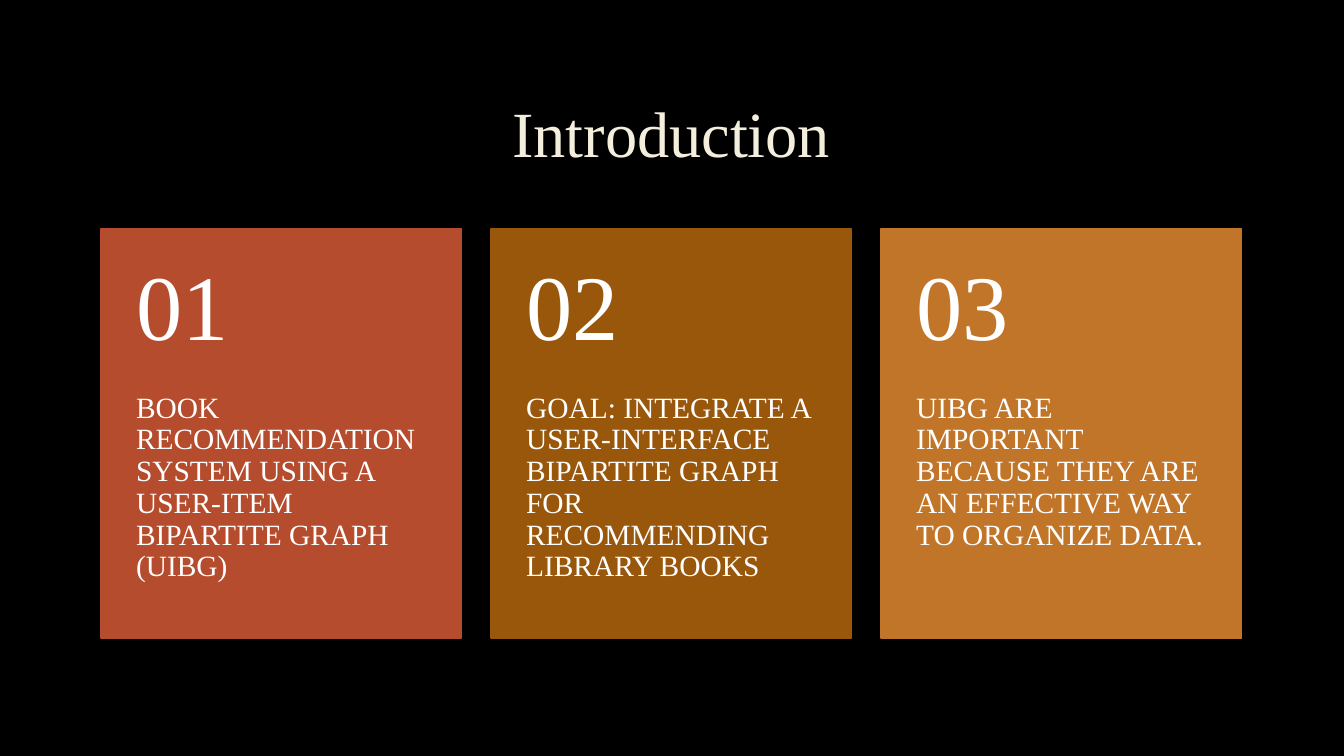
"""Build the Introduction slide: a title above three numbered cards."""
from dataclasses import dataclass

from pptx import Presentation
from pptx import util as u
from pptx.dml.color import RGBColor
from pptx.enum import shapes, text


@dataclass(frozen=True)
class Theme:
    font: str = "Times New Roman"
    background: str = "000000"
    title: str = "F4EEDC"
    card_text: str = "FFFFFF"
    title_size: float = 46
    number_size: float = 66
    body_size: float = 21


@dataclass(frozen=True)
class Card:
    body: str
    fill: str


THEME = Theme()
CARDS = (
    Card("BOOK RECOMMENDATION SYSTEM USING A USER-ITEM BIPARTITE GRAPH (UIBG)", "B54C2D"),
    Card("GOAL: INTEGRATE A USER-INTERFACE BIPARTITE GRAPH FOR RECOMMENDING LIBRARY BOOKS", "99570C"),
    Card("UIBG ARE IMPORTANT BECAUSE THEY ARE AN EFFECTIVE WAY TO ORGANIZE DATA.", "C17529"),
)
LEFT, TOP, PITCH = 2.54, 5.77, 9.83
WIDTH, HEIGHT, NUMBER_HEIGHT = 9.09, 10.31, 4.13
SIDE_INSET = 0.89


def write(sp, content: str, *, size: float, color: str,
          align=text.PP_ALIGN.LEFT, anchor=text.MSO_ANCHOR.TOP,
          insets: tuple[float, float, float, float]) -> None:
    tf = sp.text_frame
    tf.word_wrap = True
    tf.auto_size = text.MSO_AUTO_SIZE.NONE
    tf.vertical_anchor = anchor
    tf.margin_left, tf.margin_top, tf.margin_right, tf.margin_bottom = map(u.Cm, insets)
    p = tf.paragraphs[0]
    p.alignment = align
    p.line_spacing = 0.9
    r = p.add_run()
    r.text = content
    r.font.name = THEME.font
    r.font.size = u.Pt(size)
    r.font.color.rgb = RGBColor.from_string(color)


def add_title(s, content: str) -> None:
    sp = s.shapes.title
    sp.left, sp.top, sp.width, sp.height = map(u.Cm, (LEFT, 1.7, 28.75, 3.5))
    write(sp, content, size=THEME.title_size, color=THEME.title,
          align=text.PP_ALIGN.CENTER, anchor=text.MSO_ANCHOR.MIDDLE,
          insets=(0.25, 0.13, 0.25, 0.13))


def add_card(s, index: int, card: Card) -> None:
    group = s.shapes.add_group_shape().shapes
    left = LEFT + index * PITCH
    sp = group.add_shape(shapes.MSO_SHAPE.RECTANGLE,
                         *map(u.Cm, (left, TOP, WIDTH, HEIGHT)))
    sp.shadow.inherit = False
    sp.fill.solid()
    sp.fill.fore_color.rgb = sp.line.color.rgb = RGBColor.from_string(card.fill)
    sp.line.width = u.Pt(1.25)

    body = group.add_textbox(*map(u.Cm, (left, TOP + NUMBER_HEIGHT, WIDTH,
                                         HEIGHT - NUMBER_HEIGHT)))
    write(body, card.body, size=THEME.body_size, color=THEME.card_text,
          insets=(SIDE_INSET, 0, SIDE_INSET, 0.91))
    number = group.add_textbox(*map(u.Cm, (left, TOP, WIDTH, NUMBER_HEIGHT)))
    write(number, f"{index + 1:02}", size=THEME.number_size, color=THEME.card_text,
          anchor=text.MSO_ANCHOR.MIDDLE, insets=(SIDE_INSET, 0.46, SIDE_INSET, 0.46))


def main() -> None:
    prs = Presentation()
    prs.slide_width, prs.slide_height = u.Cm(33.87), u.Cm(19.05)
    s = prs.slides.add_slide(prs.slide_layouts.get_by_name("Title Only"))
    s.background.fill.solid()
    s.background.fill.fore_color.rgb = RGBColor.from_string(THEME.background)
    add_title(s, "Introduction")
    for index, card in enumerate(CARDS):
        add_card(s, index, card)
    prs.save("out.pptx")


if __name__ == "__main__":
    main()
